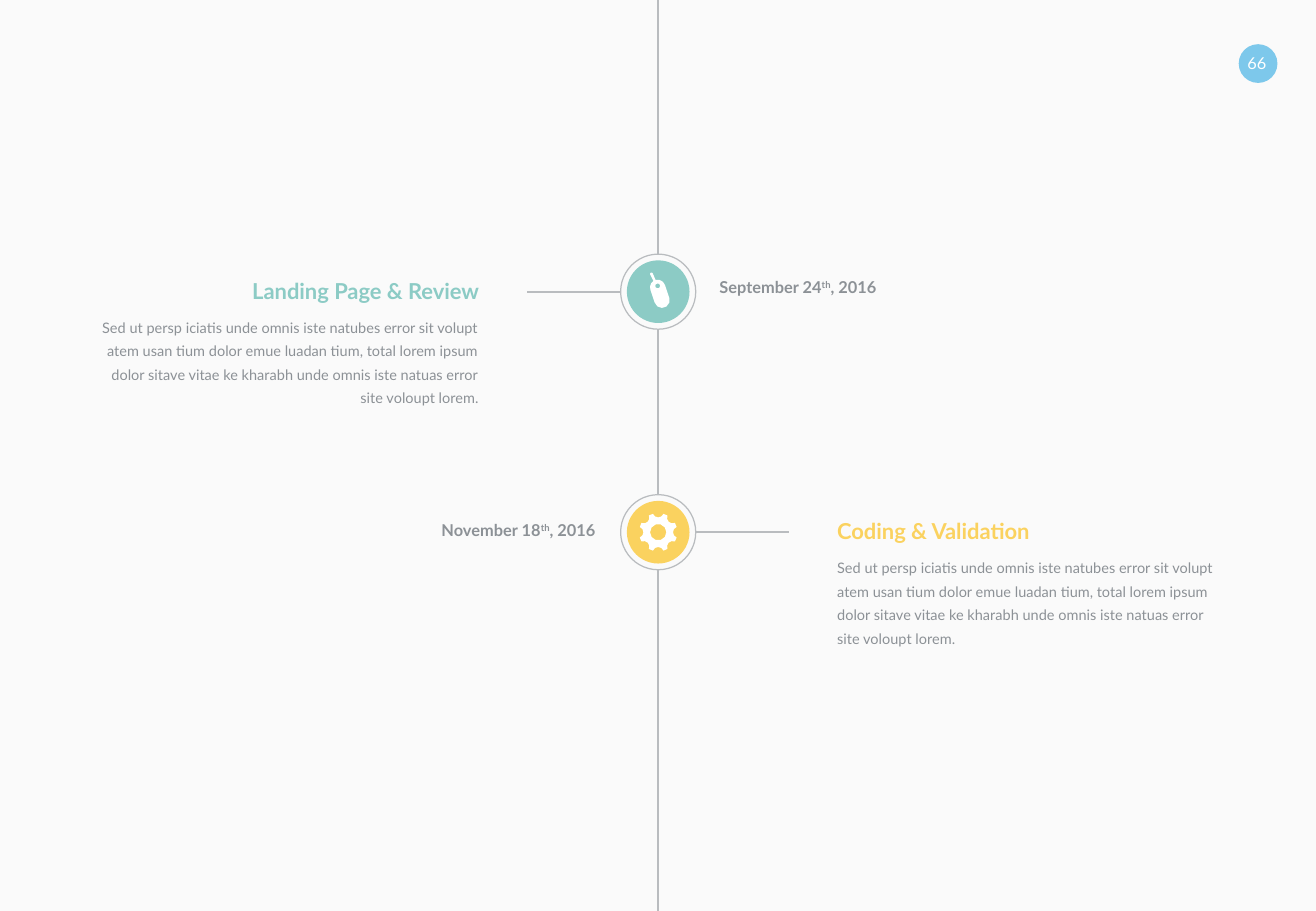
import math
from dataclasses import dataclass

import pptx
import pptx.dml.color
import pptx.enum.shapes
import pptx.enum.text
import pptx.oxml
import pptx.oxml.ns
import pptx.util

Cm = pptx.util.Cm
Align = pptx.enum.text.PP_ALIGN


@dataclass(frozen=True)
class Theme:
    font: str = "Lato"
    paper: str = "FAFAFA"
    white: str = "FFFFFF"
    line: str = "B9BCBF"
    text: str = "8C9196"
    teal: str = "8CCBC5"
    yellow: str = "FAD25F"
    blue: str = "7DC8EB"
    heading_size: float = 13
    label_size: float = 9.7
    body_size: float = 8.6
    line_width: float = 1
    ring_width: float = 0.75


THEME = Theme()
WIDTH, HEIGHT = 27.51, 19.05
AXIS = 13.76
RING, DISC = 1.57, 1.31
BRANCH = 1.95
TEXT_WIDTH = 7.95
BODY = (
    "Sed ut persp iciatis unde omnis iste natubes error sit volupt atem usan tium "
    "dolor emue luadan tium, total lorem ipsum dolor sitave vitae ke kharabh unde "
    "omnis iste natuas error site voloupt lorem."
)


def color(value):
    return pptx.dml.color.RGBColor.from_string(value)


def apply_format(target, values):
    for name, value in values.items():
        setattr(target, name, value)


def place(box, left, top, width, height):
    apply_format(box, {"left": Cm(left), "top": Cm(top), "width": Cm(width), "height": Cm(height)})


def write_text(box, spans, size, ink, align, bold=False, spacing=1.0):
    frame = box.text_frame
    apply_format(frame, {
        "margin_left": 0, "margin_top": 0, "margin_right": 0, "margin_bottom": 0,
        "word_wrap": True, "auto_size": pptx.enum.text.MSO_AUTO_SIZE.NONE,
        "vertical_anchor": pptx.enum.text.MSO_ANCHOR.TOP,
    })
    para = frame.paragraphs[0]
    if box.is_placeholder:
        properties = para._p.get_or_add_pPr()
        properties.set("marL", "0")
        properties.set("indent", "0")
        properties.append(pptx.oxml.parse_xml(f'<a:buNone {pptx.oxml.ns.nsdecls("a")}/>'))
    apply_format(para, {"alignment": align, "line_spacing": spacing, "space_before": pptx.util.Pt(0)})
    for text, raised in spans:
        span = para.add_run()
        span.text = text
        apply_format(span.font, {"name": THEME.font, "size": pptx.util.Pt(size), "bold": bold})
        span.font.color.rgb = color(ink)
        if raised:
            span._r.get_or_add_rPr().set("baseline", "30000")


def add_label(page, spans, left, top, width, ink, align, bold=False):
    box = page.shapes.add_textbox(0, 0, 0, 0)
    place(box, left, top, width, 0.41)
    write_text(box, spans, THEME.label_size, ink, align, bold)


def add_line(page, start, end):
    line = page.shapes.add_connector(
        pptx.enum.shapes.MSO_CONNECTOR.STRAIGHT, *(Cm(value) for value in start + end))
    line.line.color.rgb = color(THEME.line)
    line.line.width = pptx.util.Pt(THEME.line_width)
    line._element.spPr.append(pptx.oxml.parse_xml(f'<a:effectLst {pptx.oxml.ns.nsdecls("a")}/>'))


def paint(shape, fill):
    shape.shadow.inherit = False
    shape.fill.solid()
    shape.fill.fore_color.rgb = color(fill)
    shape.line.fill.background()


def add_circle(shapes, x, y, size):
    return shapes.add_shape(
        pptx.enum.shapes.MSO_SHAPE.OVAL,
        Cm(x - size / 2), Cm(y - size / 2), Cm(size), Cm(size))


def arc(x, y, radius, start, end):
    steps = math.ceil(abs(end - start) / 36)
    angles = [math.radians(start + (end - start) * step / steps) for step in range(steps + 1)]
    return [(x + radius * math.cos(angle), y + radius * math.sin(angle)) for angle in angles]


def tag_outlines():
    outline = (arc(0.08, 0.18, 0.16, -18, 162) + arc(-0.01, -0.09, 0.16, 162, 236)
               + arc(-0.14, -0.37, 0.03, 154, 334) + arc(-0.01, -0.09, 0.16, 254, 342))
    return [outline, arc(-0.01, -0.12, 0.05, 324, 0)]


def gear_outlines():
    outline = []
    for notch in range(8):
        for share in (-1, -0.7, 0, 0.7, 1):
            angle = math.radians(45 * notch + 16 * share)
            radius = 0.4 - 0.09 * math.sqrt(1 - share ** 2)
            outline.append((radius * math.cos(angle), radius * math.sin(angle)))
    return [outline, arc(0, 0, 0.17, 324, 0)]


def add_icon(shapes, outlines, x, y):
    paths = [[(Cm(x + dx), Cm(y + dy)) for dx, dy in outline] for outline in outlines]
    builder = shapes.build_freeform(*paths[0][0])
    builder.add_line_segments(paths[0][1:], close=True)
    for path in paths[1:]:
        builder.move_to(*path[0])
        builder.add_line_segments(path[1:], close=True)
    paint(builder.convert_to_shape(), THEME.white)


def add_node(page, y, fill, outlines):
    ring = add_circle(page.shapes, AXIS, y, RING)
    ring.shadow.inherit = False
    ring.fill.background()
    ring.line.color.rgb = color(THEME.line)
    ring.line.width = pptx.util.Pt(THEME.ring_width)
    badge = page.shapes.add_group_shape()
    paint(add_circle(badge.shapes, AXIS, y, DISC), fill)
    add_icon(badge.shapes, outlines, AXIS, y)


def add_event(page, y, side, fill, outlines, heading, heading_box, body_box, day, day_place):
    edge = AXIS + side * RING / 2
    add_line(page, (edge, y), (edge + side * BRANCH, y))
    add_node(page, y, fill, outlines)
    align, opposite = (Align.RIGHT, Align.LEFT) if side < 0 else (Align.LEFT, Align.RIGHT)
    left = 2.06 if side < 0 else 17.5
    place(heading_box, left, y - 0.3, TEXT_WIDTH, 0.56)
    write_text(heading_box, [(heading, False)], THEME.heading_size, fill, align, True)
    place(body_box, left, y + 0.44, TEXT_WIDTH, 2.01)
    write_text(body_box, [(BODY, False)], THEME.body_size, THEME.text, align, spacing=1.35)
    spans = [(day, False), ("th", True), (", 2016", False)]
    add_label(page, spans, *day_place, 4.47, THEME.text, opposite, True)


def add_page_number(page):
    paint(add_circle(page.shapes, 26.3, 1.33, 0.81), THEME.blue)
    add_label(page, [("66", False)], 25.93, 1.11, 0.69, THEME.white, Align.CENTER)


def main():
    deck = pptx.Presentation()
    apply_format(deck, {"slide_width": Cm(WIDTH), "slide_height": Cm(HEIGHT)})
    page = deck.slides.add_slide(deck.slide_layouts.get_by_name("Comparison"))
    page.background.fill.solid()
    page.background.fill.fore_color.rgb = color(THEME.paper)
    holders = {holder.placeholder_format.idx: holder for holder in page.placeholders}
    unused = holders[1]._element
    unused.getparent().remove(unused)

    review, coding = 6.1, 11.13
    stops = [0, review - RING / 2, review + RING / 2, coding - RING / 2, coding + RING / 2, HEIGHT]
    for start, end in zip(stops[::2], stops[1::2]):
        add_line(page, (AXIS, start), (AXIS, end))
    add_event(page, review, -1, THEME.teal, tag_outlines(), "Landing Page & Review",
              holders[0], holders[2], "September 24", (15.04, 5.79))
    add_event(page, coding, 1, THEME.yellow, gear_outlines(), "Coding & Validation",
              holders[3], holders[4], "November 18", (7.98, 10.87))
    add_page_number(page)
    deck.save("out.pptx")


if __name__ == "__main__":
    main()
